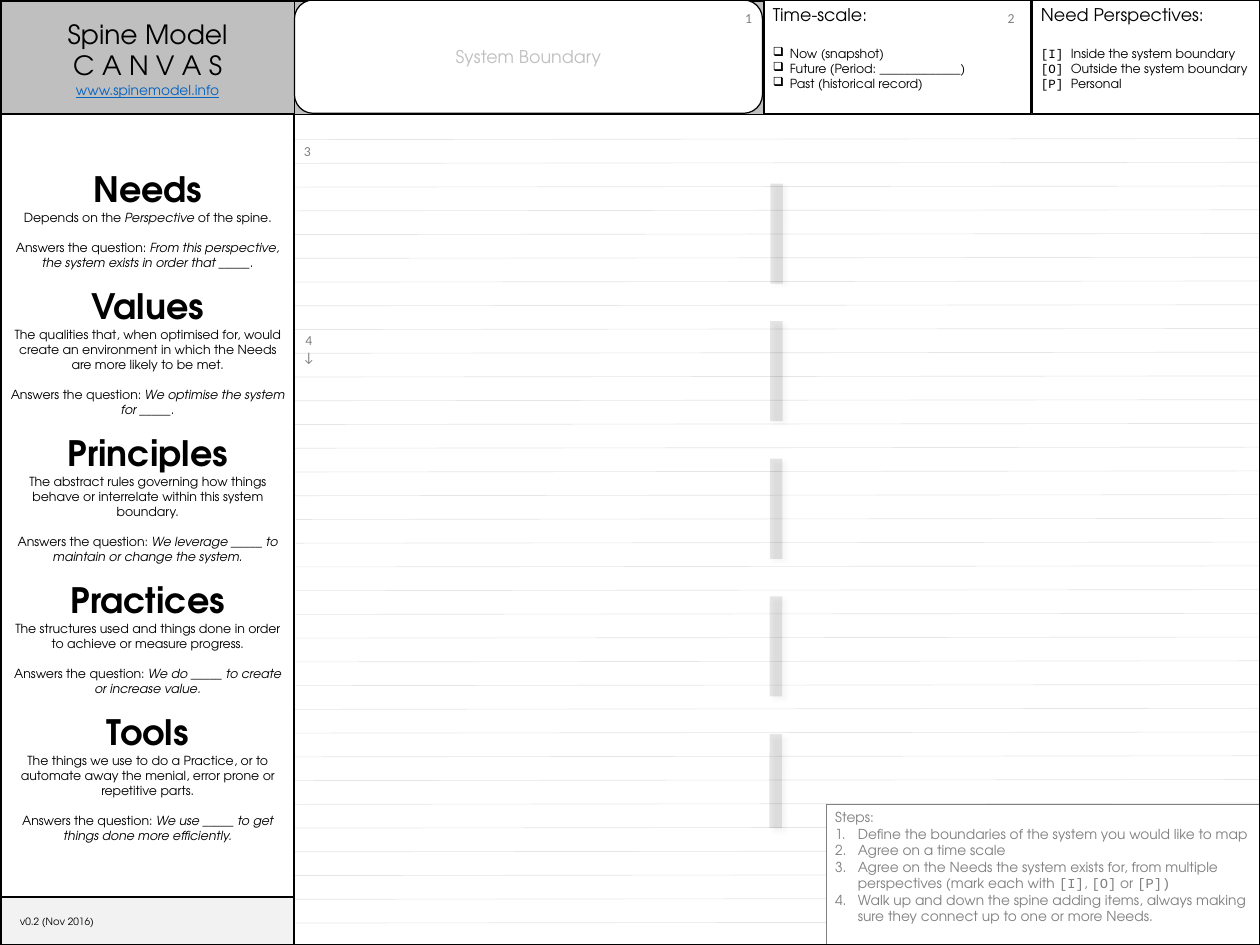
"""Build the Spine Model canvas slide."""
from lxml.etree import SubElement
from pptx import Presentation
from pptx.dml.color import RGBColor
from pptx.enum.dml import MSO_LINE
from pptx.enum.shapes import MSO_CONNECTOR, MSO_SHAPE
from pptx.enum.text import MSO_ANCHOR, MSO_AUTO_SIZE, PP_ALIGN
from pptx.oxml import parse_xml
from pptx.oxml.ns import nsdecls, qn
from pptx.util import Cm, Pt

COLORS = {"ink": "000000", "paper": "FFFFFF", "band": "BFBFBF", "footer": "F2F2F2",
          "muted": "808080", "rule": "E7E6E6", "link": "0563C1"}
SANS, MONO, DIGITS = "TeX Gyre Adventor", "Courier New", "Calibri"


def add_panel(place, fill=None, line="ink", kind=MSO_SHAPE.RECTANGLE, anchor=MSO_ANCHOR.TOP):
    panel = page.shapes.add_shape(kind, *[Cm(length) for length in place])
    panel.shadow.inherit = False
    if fill:
        panel.fill.solid()
        panel.fill.fore_color.rgb = RGBColor.from_string(COLORS[fill])
    else:
        panel.fill.background()
    panel.line.color.rgb = RGBColor.from_string(COLORS[line])
    panel.line.width = Pt(1)
    panel.text_frame.word_wrap = True
    panel.text_frame.vertical_anchor = anchor
    return panel


def add_para(frame, spans, size, color="ink", align=PP_ALIGN.LEFT, before=0):
    para = frame.add_paragraph() if frame.text else frame.paragraphs[0]
    para.alignment = align
    para.space_before = Pt(before)
    for text, font, style in spans:
        span = para.add_run()
        span.text = text
        span.font.name = font
        span.font.size = Pt(size)
        span.font.color.rgb = RGBColor.from_string(COLORS[color])
        span.font.bold = style == "bold"
        span.font.italic = style == "italic"
        span.font.underline = style == "underline"
    return para


deck = Presentation()
deck.slide_width, deck.slide_height = Cm(35.56), Cm(26.67)
page = deck.slides.add_slide(deck.slide_layouts[6])

for row in range(34):
    shift = (0, -0.04, 0.04, 0, 0.04)[row // 8]
    height = 3.94 + 0.67 * row
    rule = page.shapes.add_connector(MSO_CONNECTOR.STRAIGHT, Cm(8.31 + shift), Cm(height),
                                     Cm(35.58 + shift), Cm(height - 0.03))
    rule.line.color.rgb = RGBColor.from_string(COLORS["rule"])
    rule.line.width = Pt(0.5)
    SubElement(rule._element.spPr, qn("a:effectLst"))

steps = add_panel((23.32, 22.71, 12.24, 3.94), "paper", "muted").text_frame
add_para(steps, [("Steps:", SANS, "")], 11, "muted")
step_spans = [
    [("Define the boundaries of the system you would like to map", SANS, "")],
    [("Agree on a time scale", SANS, "")],
    [("Agree on the Needs the system exists for, from multiple perspectives (mark each with ",
      SANS, ""), ("[I]", MONO, ""), (", ", SANS, ""), ("[O]", MONO, ""), (" or ", SANS, ""),
     ("[P])", MONO, "")],
    [("Walk up and down the spine adding items, always making sure they connect up to "
      "one or more Needs.", SANS, "")],
]
listed = [(add_para(steps, spans, 11, "muted"), 0.64, "buAutoNum", ("type", "arabicPeriod"))
          for spans in step_spans]

add_panel((0, 0, 8.28, 26.67))
title = add_panel((0.03, 0.03, 8.28, 3.2), "band", anchor=MSO_ANCHOR.MIDDLE).text_frame
for text in ("Spine Model", "C A N V A S"):
    add_para(title, [(text, SANS, "")], 21.2, align=PP_ALIGN.CENTER)
add_para(title, [("www.spinemodel.info", SANS, "underline")], 11, "link", PP_ALIGN.CENTER)

version = add_panel((0.03, 25.32, 8.28, 1.35), "footer", anchor=MSO_ANCHOR.MIDDLE).text_frame
version.margin_left = Cm(0.53)
add_para(version, [("v0.2 (Nov 2016)", SANS, "")], 8)

sections = [
    ("Needs", [("Depends on the ", SANS, ""), ("Perspective", SANS, "italic"),
               (" of the spine.", SANS, "")],
     "From this perspective, the system exists in order that _____."),
    ("Values", [("The qualities that, when optimised for, would create an environment in which "
                 "the Needs are more likely to be met.", SANS, "")],
     "We optimise the system for _____."),
    ("Principles", [("The abstract rules governing how things behave or interrelate within this "
                     "system boundary.", SANS, "")],
     "We leverage _____ to maintain or change the system."),
    ("Practices", [("The structures used and things done in order to achieve or measure "
                    "progress.", SANS, "")],
     "We do _____ to create or increase value."),
    ("Tools", [("The things we use to do a Practice, or to automate away the menial, error prone "
                "or repetitive parts.", SANS, "")],
     "We use _____ to get things done more efficiently."),
]
guide = add_panel((0.03, 3.2, 8.28, 22.12), anchor=MSO_ANCHOR.MIDDLE).text_frame
for heading, description, answer in sections:
    gap = 12 if guide.text else 0
    add_para(guide, [(heading, SANS, "bold")], 28, align=PP_ALIGN.CENTER, before=gap)
    add_para(guide, description, 10, align=PP_ALIGN.CENTER)
    question = [("Answers the question: ", SANS, ""), (answer, SANS, "italic")]
    add_para(guide, question, 10, align=PP_ALIGN.CENTER, before=12)

add_panel((8.31, 0.03, 13.23, 3.2), "band")

perspectives = add_panel((29.13, 0, 6.45, 3.2)).text_frame
add_para(perspectives, [("Need Perspectives:", SANS, "")], 14)
marks = [("[I] ", "Inside the system boundary"), ("[O] ", "Outside the system boundary"),
         ("[P] ", "Personal")]
for index, (mark, meaning) in enumerate(marks):
    add_para(perspectives, [(mark, MONO, ""), (meaning, SANS, "")], 10,
             before=0 if index else 16.8)

timescale = add_panel((21.56, 0, 7.54, 3.2)).text_frame
add_para(timescale, [("Time-scale:", SANS, "")], 14)
options = ("Now (snapshot)", "Future (Period: _____________)", "Past (historical record)")
for index, option in enumerate(options):
    para = add_para(timescale, [(option, SANS, "")], 10, before=0 if index else 16.8)
    listed.append((para, 0.48, "buChar", ("char", "❑")))

for para, indent, tag, (key, value) in listed:
    properties = para._p.get_or_add_pPr()
    properties.set("marL", str(Cm(indent)))
    properties.set("indent", str(-Cm(indent)))
    SubElement(properties, qn(f"a:{tag}")).set(key, value)

boundary = add_panel((8.31, 0, 13.21, 3.2), "paper", kind=MSO_SHAPE.ROUNDED_RECTANGLE,
                     anchor=MSO_ANCHOR.MIDDLE).text_frame
add_para(boundary, [("System Boundary", SANS, "")], 14, "band", PP_ALIGN.CENTER)
add_panel((8.28, 3.23, 27.28, 23.44))

spine = page.shapes.add_connector(MSO_CONNECTOR.STRAIGHT, Cm(21.92), Cm(5.18),
                                  Cm(21.89), Cm(23.37))
spine.line.color.rgb = RGBColor.from_string(COLORS["ink"])
spine.line.width = Pt(10)
spine.line.dash_style = MSO_LINE.LONG_DASH
stroke = spine._element.spPr.find(".//" + qn("a:srgbClr"))
SubElement(stroke, qn("a:alpha")).set("val", "10000")
spine._element.spPr.append(parse_xml(
    f'<a:effectLst {nsdecls("a")}><a:outerShdw blurRad="{Pt(4)}" dist="{Pt(3)}" dir="2700000" '
    f'algn="tl" rotWithShape="0"><a:srgbClr val="{COLORS["ink"]}"><a:alpha val="40000"/>'
    '</a:srgbClr></a:outerShdw></a:effectLst>'))

add_panel((0, 0, 35.56, 26.67))

labels = [("1", (20.78, 0.15, 0.71, 0.74), False), ("2", (28.19, 0.15, 0.71, 0.74), False),
          ("3", (8.33, 3.91, 0.71, 0.74), False), ("4 ↓", (8.23, 9.25, 0.97, 1.19), True)]
for text, place, wrapped in labels:
    label = page.shapes.add_textbox(*[Cm(length) for length in place]).text_frame
    label.word_wrap = wrapped
    label.auto_size = MSO_AUTO_SIZE.SHAPE_TO_FIT_TEXT
    add_para(label, [(text, DIGITS, "")], 11, "muted",
             PP_ALIGN.CENTER if wrapped else PP_ALIGN.LEFT)

deck.save("out.pptx")
